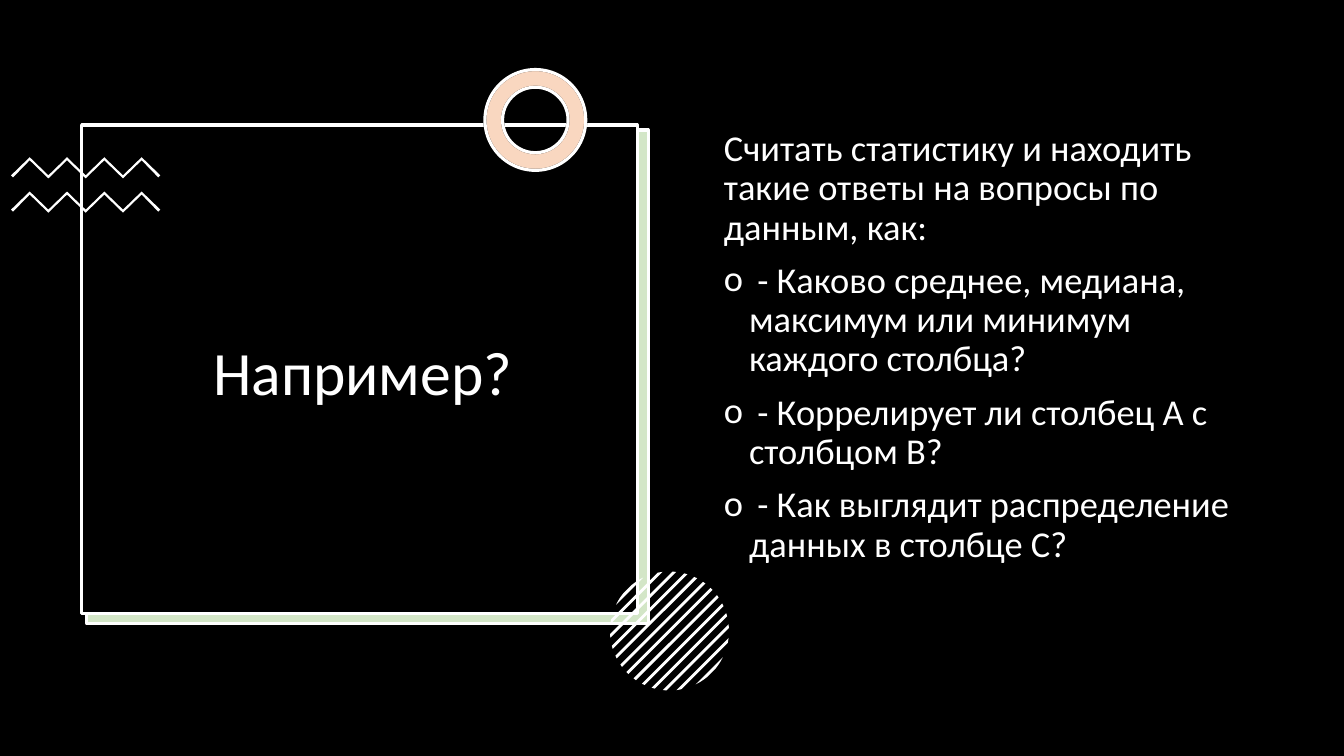
from dataclasses import dataclass
from math import acos, cos, pi, sin, sqrt

from lxml.etree import SubElement
from pptx import Presentation
from pptx.dml.color import RGBColor
from pptx.enum.shapes import MSO_SHAPE
from pptx.enum.text import MSO_ANCHOR, MSO_AUTO_SIZE, PP_ALIGN
from pptx.oxml.ns import qn
from pptx.util import Inches, Pt


@dataclass(frozen=True)
class Theme:
    black: str = "000000"
    white: str = "FFFFFF"
    green: str = "70AD47"
    orange: str = "ED7D31"
    font: str = "Calibri"
    title_size: float = 44
    body_size: float = 26
    line_width: float = 2.25
    tint: int = 30


THEME = Theme()
INTRO = "Считать статистику и находить такие ответы на вопросы по данным, как:"
QUESTIONS = [
    " - Каково среднее, медиана, максимум или минимум каждого столбца?",
    " - Коррелирует ли столбец A с столбцом B?",
    " - Как выглядит распределение данных в столбце C?",
]


# Shared helpers
def paint(shape, fill, line=None, opacity=None):
    shape.shadow.inherit = False
    shape.fill.solid()
    shape.fill.fore_color.rgb = RGBColor.from_string(fill)
    if opacity is not None:
        color = shape.element.spPr.find(qn("a:solidFill"))[0]
        SubElement(color, qn("a:alpha"), val=str(opacity * 1000))
    if line is None:
        shape.line.fill.background()
    else:
        shape.line.color.rgb = RGBColor.from_string(line)
        shape.line.width = Pt(THEME.line_width)


def add_preset(shapes, kind, box, fill, line=None, opacity=None):
    shape = shapes.add_shape(kind, *map(Inches, box))
    paint(shape, fill, line, opacity)
    return shape


def add_outline(shapes, points, fill):
    corners = [(Inches(x), Inches(y)) for x, y in points]
    builder = shapes.build_freeform(*corners[0])
    builder.add_line_segments(corners[1:], close=True)
    paint(builder.convert_to_shape(), fill)


def place_placeholder(box_shape, box, anchor):
    for name, value in zip(("left", "top", "width", "height"), box):
        setattr(box_shape, name, Inches(value))
    frame = box_shape.text_frame
    settings = {"word_wrap": True, "auto_size": MSO_AUTO_SIZE.NONE, "vertical_anchor": anchor}
    for name, value in settings.items():
        setattr(frame, name, value)
    # Bring the text in front of the artwork
    box_shape.element.getparent().append(box_shape.element)
    return frame


def write(para, text, size, **para_format):
    span = para.add_run()
    span.text = text
    for name, value in {"line_spacing": 0.9, **para_format}.items():
        setattr(para, name, value)
    for name, value in {"name": THEME.font, "size": Pt(size), "bold": False}.items():
        setattr(span.font, name, value)
    span.font.color.rgb = RGBColor.from_string(THEME.white)


def set_bullet(para, mark=None, indent=0.0):
    properties = para._p.get_or_add_pPr()
    properties.set("marL", str(Inches(indent)))
    properties.set("indent", str(-Inches(indent)))
    if mark is None:
        SubElement(properties, qn("a:buNone"))
    else:
        SubElement(properties, qn("a:buFont"), typeface=THEME.font)
        SubElement(properties, qn("a:buChar"), char=mark)


# Framed panel with its offset green edge
def draw_panel(shapes, box):
    left, top, width, height = box
    rect = MSO_SHAPE.RECTANGLE
    edge = (width + 0.06, height + 0.05)
    add_preset(shapes, rect, (left + 0.04, top + 0.06, *edge), THEME.white)
    add_preset(shapes, rect, (left + 0.05, top + 0.05, *edge), THEME.green, THEME.white, THEME.tint)
    add_preset(shapes, rect, box, THEME.black, THEME.white)


# Two zigzag bands
def draw_zigzags(shapes, box, rows=2, segments=8):
    left, top, width, height = box
    band, step = 0.21, width / segments
    group = shapes.add_group_shape()
    for row in range(rows):
        y = top + row * (height - band) / (rows - 1)
        upper = [(left + i * step, y + (0 if i % 2 else 0.18)) for i in range(segments + 1)]
        lower = [(x, peak + 0.03) for x, peak in upper[1:-1]]
        ends = [(left + 0.02, y + 0.2), (left + width - 0.02, y + 0.2)]
        add_outline(group.shapes, [*upper, ends[1], *reversed(lower), ends[0]], THEME.white)


# Ring: solid base with a tinted copy on top
def draw_ring(shapes, box):
    layers = [(THEME.white, THEME.black, None), (THEME.orange, THEME.white, THEME.tint)]
    for fill, line, opacity in layers:
        ring = add_preset(shapes, MSO_SHAPE.DONUT, box, fill, line, opacity)
        ring.adjustments[0] = 0.175


# Disc cut into diagonal stripes
def draw_striped_disc(shapes, box, stripes=13, pitch=0.135, half=0.02, steps=4):
    left, top, size, _ = box
    radius = size / 2
    center_x, center_y = left + radius, top + radius
    group = shapes.add_group_shape()
    for index in range(stripes):
        middle = (index - stripes // 2) * pitch
        offsets = [(middle + half * (2 * k / steps - 1)) / sqrt(2) for k in range(steps + 1)]
        turns = [acos(offset / radius) for offset in offsets]
        angles = [pi / 4 + turn for turn in turns] + [pi / 4 - turn for turn in reversed(turns)]
        points = [(center_x + radius * cos(a), center_y + radius * sin(a)) for a in angles]
        add_outline(group.shapes, points, THEME.white)


# Title and list
def fill_title(title, box):
    frame = place_placeholder(title, box, MSO_ANCHOR.MIDDLE)
    write(frame.paragraphs[0], "Например?", THEME.title_size, alignment=PP_ALIGN.CENTER)


def fill_body(body, box):
    frame = place_placeholder(body, box, MSO_ANCHOR.TOP)
    for index, text in enumerate([INTRO, *QUESTIONS]):
        para = frame.add_paragraph() if index else frame.paragraphs[0]
        write(para, text, THEME.body_size, space_before=Pt(10), alignment=PP_ALIGN.LEFT)
        if index:
            set_bullet(para, "o", 0.25)
        else:
            set_bullet(para)


def build_question_slide(deck, box):
    page = deck.slides.add_slide(deck.slide_layouts[1])
    shapes = page.shapes
    add_preset(shapes, MSO_SHAPE.RECTANGLE, box, THEME.black)
    left, top = box[:2]
    draw_panel(shapes, (left + 0.81, top + 1.24, 5.51, 4.85))
    draw_zigzags(shapes, (left + 0.11, top + 1.56, 1.48, 0.55))
    draw_ring(shapes, (left + 4.81, top + 0.69, 1, 1))
    draw_striped_disc(shapes, (left + 6.05, top + 5.67, 1.18, 1.18))
    fill_title(shapes.title, (left + 0.92, top + 1.52, 5.36, 4.42))
    fill_body(page.placeholders[1], (left + 7.08, top + 1.24, 5.44, 4.76))


def main():
    deck = Presentation()
    deck.slide_width, deck.slide_height = Inches(13.33), Inches(7.5)
    build_question_slide(deck, (0, 0, 13.33, 7.5))
    deck.save("out.pptx")


if __name__ == "__main__":
    main()
